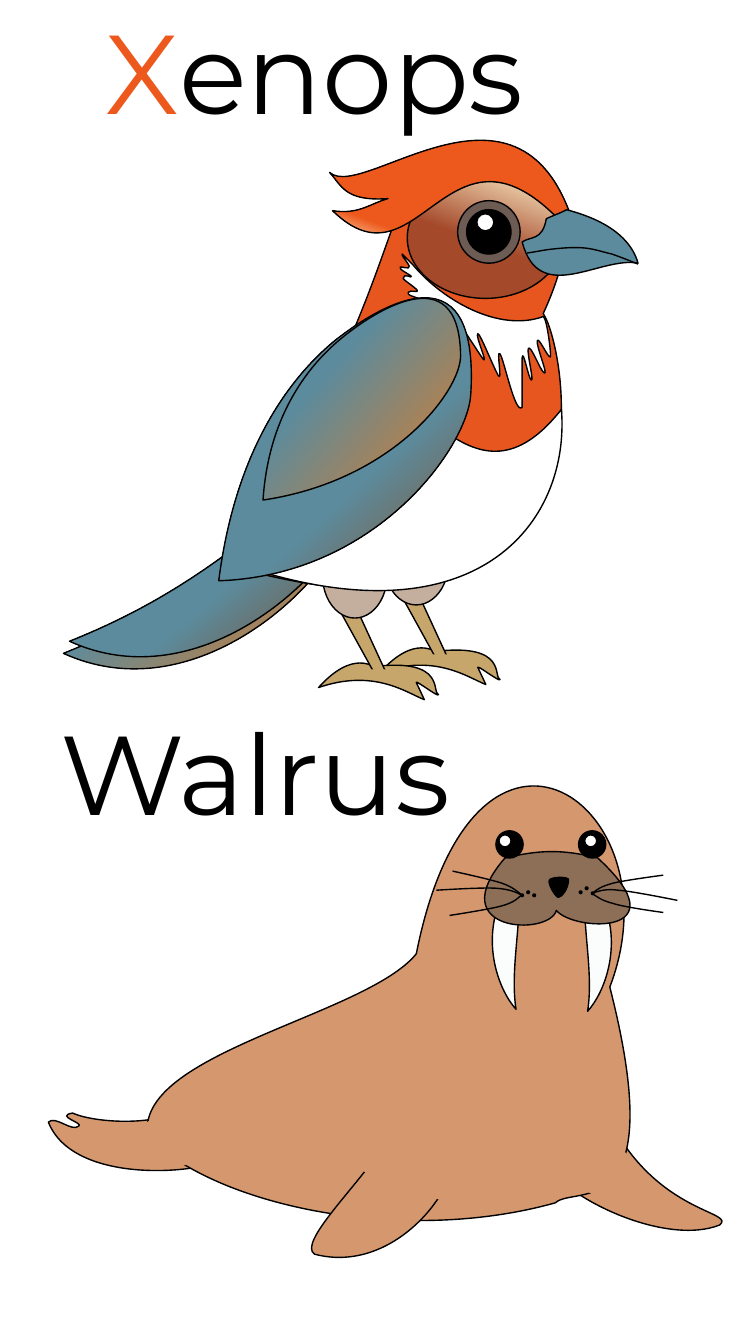
from pptx import Presentation
from pptx import util as u
from pptx.dml.color import RGBColor
from pptx.enum import shapes, text
from pptx.oxml import ns
from lxml import etree

COLS, ROWS = 750, 1333
CELL = u.Inches(0.01)
BLACK, WHITE = "000000", "FFFFFF"
TAN, GOLD, STEEL, FLAME = "D4976E", "C6A66B", "5C8B9D", "ED591D"


def tint(hue):
    return RGBColor.from_string(hue)


def paint(shape, fill, edge=True):
    shape.shadow.inherit = False
    if fill is None:
        shape.fill.background()
    elif isinstance(fill, str):
        shape.fill.solid()
        shape.fill.fore_color.rgb = tint(fill)
    else:
        first, last, stop, angle = fill
        shape.fill.gradient()
        shape.fill.gradient_angle = 360 - angle
        ends = zip(shape.fill.gradient_stops, (first, last), (0, stop))
        for end, hue, place in ends:
            end.color.rgb = tint(hue)
            end.position = place
    if edge:
        shape.line.color.rgb = tint(BLACK)
        shape.line.width = u.Pt(1)
    else:
        shape.line.fill.background()


def spot(slide, x, y, wide, high, fill, edge=True):
    box = [CELL * n for n in (x, y, wide, high)]
    oval = slide.shapes.add_shape(shapes.MSO_SHAPE.OVAL, *box)
    paint(oval, fill, edge)


def bend(pts, t):
    while len(pts) > 1:
        pts = [(a + (c - a) * t, b + (d - b) * t)
               for (a, b), (c, d) in zip(pts, pts[1:])]
    return pts[0]


def trace(slide, route, fill=None, edge=True, dx=0, dy=0, flip=1):
    """Steps are split by a slash: one point is a line, three are a curve."""
    steps = []
    for step in route.split("/"):
        pairs = [pair.split(",") for pair in step.split()]
        steps.append([(flip * int(x) + dx, int(y) + dy) for x, y in pairs])
    now = steps[0][0]
    rim = [now]
    for step in steps[1:]:
        rim += [bend([now] + step, n / 24) for n in range(1, 25)]
        now = step[-1]
    rim = [(round(x), round(y)) for x, y in rim]
    pen = slide.shapes.build_freeform(*rim[0], scale=CELL)
    pen.add_line_segments(rim[1:], close=fill is not None)
    shape = pen.convert_to_shape()
    left, top = (min(axis) for axis in zip(*rim))
    track = shape._element.find(".//" + ns.qn("a:path"))
    for old in list(track):
        track.remove(old)
    for n, step in enumerate(steps):
        kind = "moveTo" if n == 0 else "lnTo" if len(step) == 1 else "cubicBezTo"
        node = etree.SubElement(track, ns.qn("a:" + kind))
        for x, y in step:
            etree.SubElement(node, ns.qn("a:pt"), x=str(x - left), y=str(y - top))
    if fill is not None:
        etree.SubElement(track, ns.qn("a:close"))
    paint(shape, fill, edge)


def label(shape, x, y, wide, high, head, rest, hue):
    shape.left, shape.top, shape.width, shape.height = (
        CELL * n for n in (x, y, wide, high))
    frame = shape.text_frame
    frame.word_wrap = True
    frame.auto_size = text.MSO_AUTO_SIZE.NONE
    frame.vertical_anchor = text.MSO_ANCHOR.TOP
    line = frame.paragraphs[0]
    line.text = head
    line.add_run().text = rest
    line.alignment = text.PP_ALIGN.LEFT
    for run, ink in zip(line.runs, (hue, BLACK)):
        run.font.name = "Montserrat"
        run.font.size = u.Pt(80)
        run.font.color.rgb = tint(ink)


def walrus(slide):
    trace(slide, "714,1215 / 730,1202 660,1204 612,1124 / 542,1155 / 564,1190 661,1236 714,1215", TAN)
    trace(slide, "223,1097 / 183,1097 / 161,1118 94,1114 72,1104 / 54,1107 84,1114 78,1117"
          " / 71,1123 55,1106 48,1113 / 73,1176 201,1164 223,1149", TAN)
    trace(slide, "605,979 / 674,799 471,654 413,946 / 363,1008 130,1045 147,1128"
          " / 217,1197 401,1235 551,1193 / 570,1175 666,1218 605,979", TAN)
    for dx, dy, flip in ((0, 0, 1), (1095, 2, -1)):
        trace(slide, "494,899 / 480,940 495,982 512,1001 / 507,969 514,933 515,899",
              "FBFCFC", dx=dx, dy=dy, flip=flip)
    trace(slide, "312,1244 / 295,1233 355,1176 377,1141 / 450,1148 / 450,1185 388,1264 312,1244", TAN)
    trace(slide, "593,851 / 557,842 535,843 501,851 / 437,925 545,929 552,903"
          " / 569,924 678,929 593,851", "8D6E56")
    trace(slide, "545,873 / 543,876 551,890 554,890 / 557,890 564,882 564,872"
          " / 561,869 546,870 545,873", BLACK)
    for x, glint in ((492, 495), (574, 580)):
        spot(slide, x, 824, 27, 27, BLACK)
        spot(slide, glint, 828, 12, 12, WHITE)
    for x, y in ((516, 886), (528, 886), (522, 883), (574, 883), (580, 879), (586, 884)):
        spot(slide, x, y, 4, 4, BLACK, False)
    for joint in (
            "331,1119 / 331,1098 412,1117 453,1115 / 488,1180 / 457,1200 357,1193 331,1119",
            "128,1137 / 116,1120 194,1090 227,1066 / 292,1100 / 278,1134 191,1183 128,1137",
            "511,1113 / 508,1094 577,1120 609,1124 / 647,1187 / 625,1202 543,1184 511,1113"):
        trace(slide, joint, TAN, False)
    for hair in (
            "518,888 / 513,884 509,880 498,876 / 486,872 449,864 449,864",
            "518,888 / 512,885 506,882 492,881 / 478,880 433,883 433,883",
            "517,888 / 513,892 508,896 496,899 / 485,902 446,908 446,908",
            "588,886 / 592,882 597,879 608,876 / 620,873 658,868 658,868",
            "587,886 / 594,884 600,881 614,883 / 628,884 672,893 672,893",
            "587,886 / 592,889 596,893 608,896 / 620,900 658,905 658,905"):
        trace(slide, hair)


def leg(slide, dx, dy):
    trace(slide, "372,661 / 443,653 428,687 435,689 / 435,692 412,674 413,677 / 421,694"
          " / 403,687 371,663 316,682 / 351,643 371,663 372,661", GOLD, dx=dx, dy=dy)
    trace(slide, "334,600 / 353,602 / 382,665 / 371,667", GOLD, dx=dx, dy=dy)
    trace(slide, "359,670 / 368,664 / 391,664 / 386,668", GOLD, False, dx, dy)


def xenops(slide):
    for dx, dy, fill in ((0, 0, ("DF7C27", STEEL, 0.56, 230)),
                         (6, -12, ("7E4C26", STEEL, 0.38, 230))):
        trace(slide, "296,499 / 330,474 362,357 343,515 / 336,568 199,710 63,648"
              " / 148,614 213,571 296,499", fill, dx=dx, dy=dy)
    leg(slide, 61, -15)
    leg(slide, 0, 0)
    for x, y in ((381, 516), (320, 529)):
        spot(slide, x, y, 64, 84, "C4AE9D")
    trace(slide, "404,188 / 380,132 638,97 539,311 / 561,342 625,666 242,565"
          " / 208,567 322,394 349,332 / 376,269 391,217 404,188", "E85620")
    trace(slide, "409,262 / 439,298 495,330 539,314 / 543,317 547,353 546,354"
          " / 544,356 534,333 533,338 / 532,344 544,372 540,370 / 536,368 526,340 524,346"
          " / 523,352 530,379 527,377 / 524,375 519,345 518,355 / 518,371 518,387 518,404"
          " / 511,412 500,356 496,351 / 492,346 499,381 494,372 / 489,363 476,330 474,331"
          " / 471,332 485,363 479,356 / 452,315 / 433,307 465,332 459,333"
          " / 431,340 401,305 405,302 / 408,299 421,303 419,299 / 418,295 403,294 405,290"
          " / 407,287 416,291 414,288 / 412,285 399,277 400,276 / 400,270 410,277 408,274"
          " / 406,272 395,267 397,265 / 398,264 407,268 406,264 / 405,261 397,252 399,252", WHITE)
    trace(slide, "337,355 / 411,370 469,518 557,406 / 566,519 472,641 234,559", WHITE)
    spot(slide, 404, 176, 155, 120, ("FFF2CC", "A4492A", 0.54, 110))
    spot(slide, 454, 199, 62, 62, "6D5C53")
    spot(slide, 463, 208, 44, 44, BLACK)
    spot(slide, 473, 212, 17, 17, WHITE)
    trace(slide, "385,197 / 342,200 339,184 327,171 / 361,202 526,42 574,240"
          " / 447,82 420,297 330,209 / 356,213 367,202 385,197", ("FFF2CC", FLAME, 0.19, 290))
    trace(slide, "332,338 / 365,312 477,233 467,392 / 463,445 372,571 217,576"
          " / 235,434 297,367 332,338", ("885126", STEEL, 0.39, 227))
    trace(slide, "342,333 / 367,313 456,251 457,353 / 457,388 390,477 261,496"
          " / 267,404 314,355 342,333", ("DF7C27", STEEL, 0.66, 221))
    trace(slide, "542,217 / 548,214 557,211 562,208 / 581,213 623,226 633,261"
          " / 595,254 535,304 518,240 / 527,234 538,239 542,217", STEEL)
    trace(slide, "523,251 / 531,250 539,248 549,247 / 558,246 570,245 580,246"
          " / 590,247 598,250 607,252 / 616,255 633,262 633,262")


def main():
    deck = Presentation()
    deck.slide_width, deck.slide_height = CELL * COLS, CELL * ROWS
    slide = deck.slides.add_slide(deck.slide_layouts[5])
    label(slide.shapes.title, 95, -3, 490, 145, "X", "enops", FLAME)
    label(slide.shapes.add_textbox(0, 0, 0, 0), 50, 693, 527, 162, "W", "alrus", BLACK)
    walrus(slide)
    xenops(slide)
    deck.save("out.pptx")


if __name__ == "__main__":
    main()
